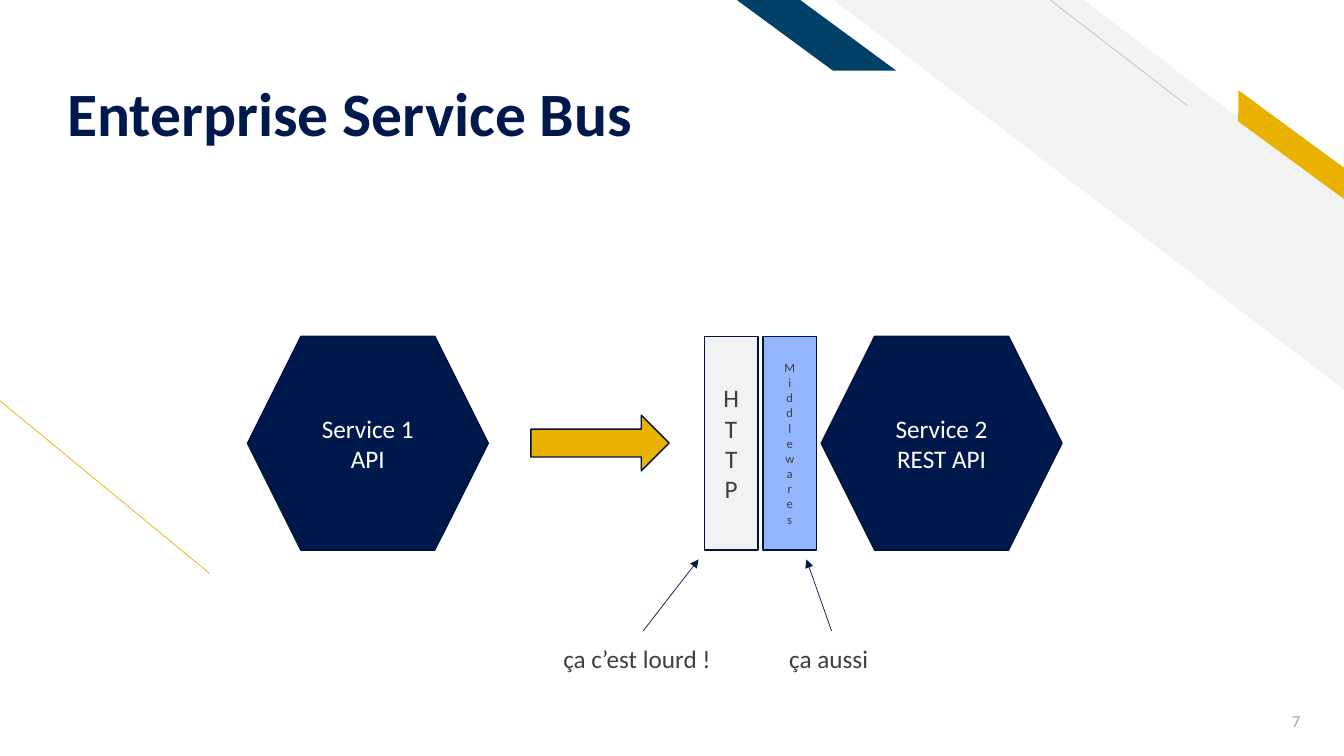
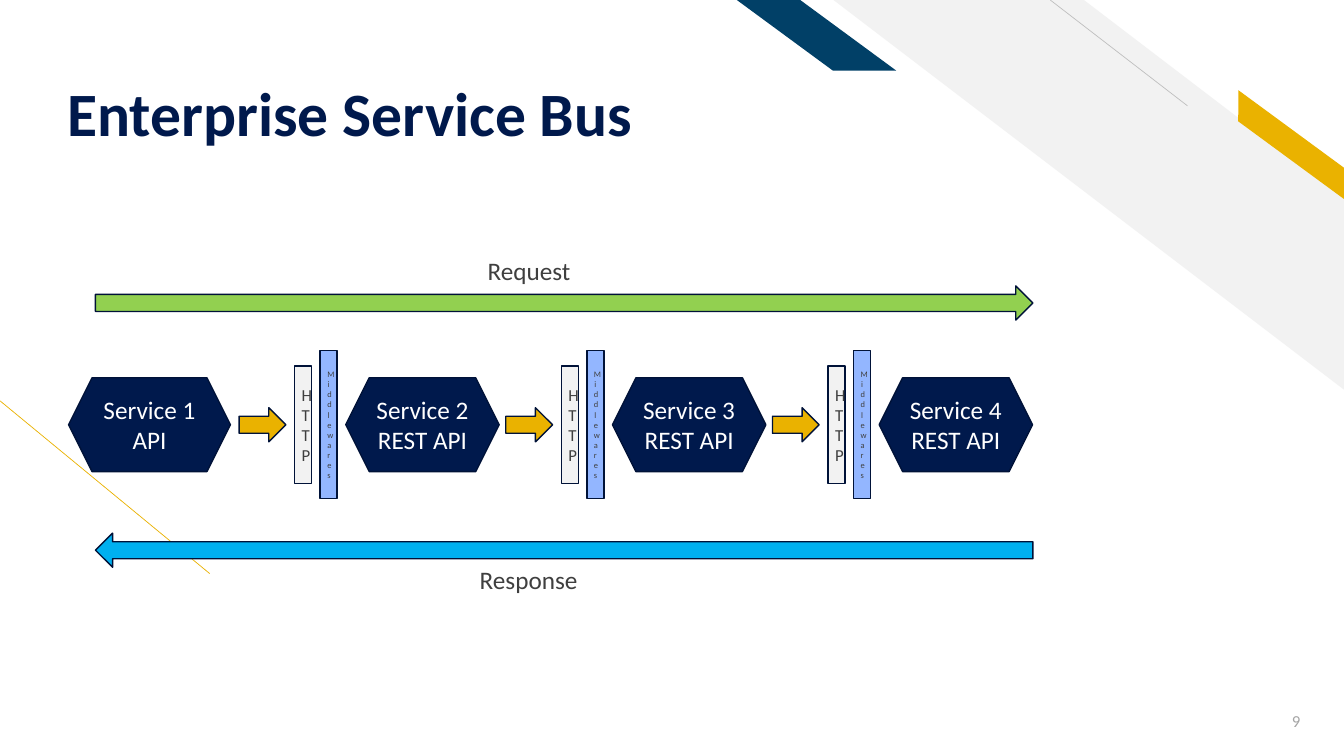
from lxml.etree import SubElement
from pptx import Presentation
from pptx.dml.color import RGBColor
from pptx.enum.shapes import MSO_CONNECTOR, MSO_SHAPE as SHAPE
from pptx.enum.text import MSO_ANCHOR as ANCHOR, PP_ALIGN as ALIGN
from pptx.oxml.ns import qn
from pptx.util import Pt

NAVY = RGBColor(0x00, 0x19, 0x4C)
OUTLINE = RGBColor(0x00, 0x12, 0x38)
TEAL = RGBColor(0x01, 0x40, 0x67)
GOLD = RGBColor(0xEA, 0xB2, 0x00)
PALE = RGBColor(0xF2, 0xF2, 0xF2)
SILVER = RGBColor(0xBF, 0xBF, 0xBF)
GREY = RGBColor(0xA5, 0xA5, 0xA5)
TEXT = RGBColor(0x3F, 0x3F, 0x3F)
WHITE = RGBColor(0xFF, 0xFF, 0xFF)
SKY = RGBColor(0x93, 0xB6, 0xFF)
GREEN = RGBColor(0x92, 0xD0, 0x50)
BLUE = RGBColor(0x00, 0xB0, 0xF0)


class Deck:
    FONT = "Calibri"

    def __init__(self):
        self.prs = Presentation()
        self.prs.slide_width, self.prs.slide_height = Pt(960), Pt(540)
        self.s = None

    def slide(self, title, number):
        self.s = self.prs.slides.add_slide(self.prs.slide_layouts[6])
        self.line(149.8, 409.7, 0, 286.3, GOLD)
        self.band(SHAPE.DIAGONAL_STRIPE, 595.4, 0, 365, 278.6, PALE, 0.51)
        self.line(848.2, 75.6, 750.2, 0, SILVER)
        self.band(SHAPE.PARALLELOGRAM, 869, 94.3, 106.6, 18, GOLD, 0.72, 36.3)
        self.band(SHAPE.PARALLELOGRAM, 526.3, 0, 113.8, 50.4, TEAL, 1.36)
        self.text(str(number), 877.7, 500.4, 58.3, 28.8, 12, GREY,
                  ANCHOR.MIDDLE, ALIGN.RIGHT)
        tf = self.text(title, 41, 16.6, 656, 90.7, 44, NAVY, ANCHOR.BOTTOM)
        tf.margin_bottom = 0
        p = tf.paragraphs[0]
        p.font.bold = True
        p.line_spacing = 0.9

    def style(self, tf, text, size, color, align):
        tf.text = text
        for p in tf.paragraphs:
            p.alignment = align
            p.font.name, p.font.size = self.FONT, Pt(size)
            p.font.color.rgb = color

    def text(self, text, x, y, w, h, size=18, color=TEXT,
             anchor=ANCHOR.TOP, align=ALIGN.LEFT):
        tf = self.s.shapes.add_textbox(Pt(x), Pt(y), Pt(w), Pt(h)).text_frame
        tf.word_wrap = True
        tf.vertical_anchor = anchor
        self.style(tf, text, size, color, align)
        return tf

    def shape(self, kind, x, y, w, h, fill, outline=OUTLINE):
        sp = self.s.shapes.add_shape(kind, Pt(x), Pt(y), Pt(w), Pt(h))
        sp.shadow.inherit = False
        sp.fill.solid()
        sp.fill.fore_color.rgb = fill
        if outline is None:
            sp.line.fill.background()
        else:
            sp.line.color.rgb = outline
            sp.line.width = Pt(1)
        return sp

    def band(self, kind, x, y, w, h, fill, adjustment, rotation=0):
        """Draw a mirrored decorative stripe without outline."""
        sp = self.shape(kind, x, y, w, h, fill, None)
        sp.adjustments[0] = adjustment
        sp.rotation = rotation
        sp._element.spPr.find(qn("a:xfrm")).set("flipH", "1")

    def arrow(self, x, y, w, h, fill=GOLD, rotation=0):
        self.shape(SHAPE.RIGHT_ARROW, x, y, w, h, fill).rotation = rotation

    def service(self, text, x, y, w, h):
        sp = self.shape(SHAPE.HEXAGON, x, y, w, h, NAVY)
        self.style(sp.text_frame, text, 18, WHITE, ALIGN.CENTER)

    def layer(self, text, x, y, w, h, fill, size):
        """Draw an upright bar whose letters are stacked."""
        sp = self.shape(SHAPE.RECTANGLE, x, y, w, h, fill)
        self.style(sp.text_frame, text, size, TEXT, ALIGN.CENTER)
        sp.text_frame._txBody.bodyPr.set("vert", "wordArtVert")

    def line(self, x1, y1, x2, y2, color, head=False):
        c = self.s.shapes.add_connector(MSO_CONNECTOR.STRAIGHT,
                                        Pt(x1), Pt(y1), Pt(x2), Pt(y2))
        c.line.color.rgb = color
        c.line.width = Pt(0.5)
        if head:
            SubElement(c.line._get_or_add_ln(), qn("a:tailEnd"), type="triangle")
        SubElement(c._element.spPr, qn("a:effectLst"))


def single_call(deck):
    deck.slide("Enterprise Service Bus", 7)
    top, height = 240.2, 152.8
    for text, x in (("Service 1\nAPI", 176.8), ("Service 2\nREST API", 586.6)):
        deck.service(text, x, top, 172, height)
    deck.arrow(379.2, 296.6, 98.8, 39.8)
    deck.layer("HTTP", 503.2, top, 38.2, height, PALE, 18)
    deck.layer("Middlewares", 545, top, 38.2, height, SKY, 9)
    for text, x, w, start, end in (("ça c’est lourd !", 395.3, 126.7, 459.4, 499),
                                   ("ça aussi", 556.6, 75, 594, 576)):
        deck.line(start, 450.7, end, 399.6, NAVY, head=True)
        deck.text(text, x, 455.8, w, 28.8)


def call_chain(deck):
    deck.slide("Enterprise Service Bus", 9)
    middle, left, step = 303.4, 247, 190.5

    def centred(h):
        return middle - h / 2

    deck.service("Service 1\nAPI", 49, centred(67), 115.6, 67)
    for i in range(3):
        x = left + i * step
        deck.service(f"Service {i + 2}\nREST API", x, centred(67), 109.6, 67)
        deck.arrow(x - 76.2, centred(24.4), 33.4, 24.4)
        deck.layer("HTTP", x - 36.6, centred(83.8), 12.2, 83.8, PALE, 12)
        deck.layer("Middlewares", x - 18.3, centred(105.8), 12.2, 105.8, SKY, 6)
    for y, fill, rotation in ((204.2, GREEN, 0), (380.8, BLUE, 180)):
        deck.arrow(68.2, y, 669.6, 24.4, fill, rotation)
    deck.text("Request", 341.2, 178.6, 76, 28.8)
    deck.text("Response", 335.6, 399.6, 87, 28.8)


def main():
    deck = Deck()
    single_call(deck)
    call_chain(deck)
    deck.prs.save("out.pptx")


if __name__ == "__main__":
    main()
